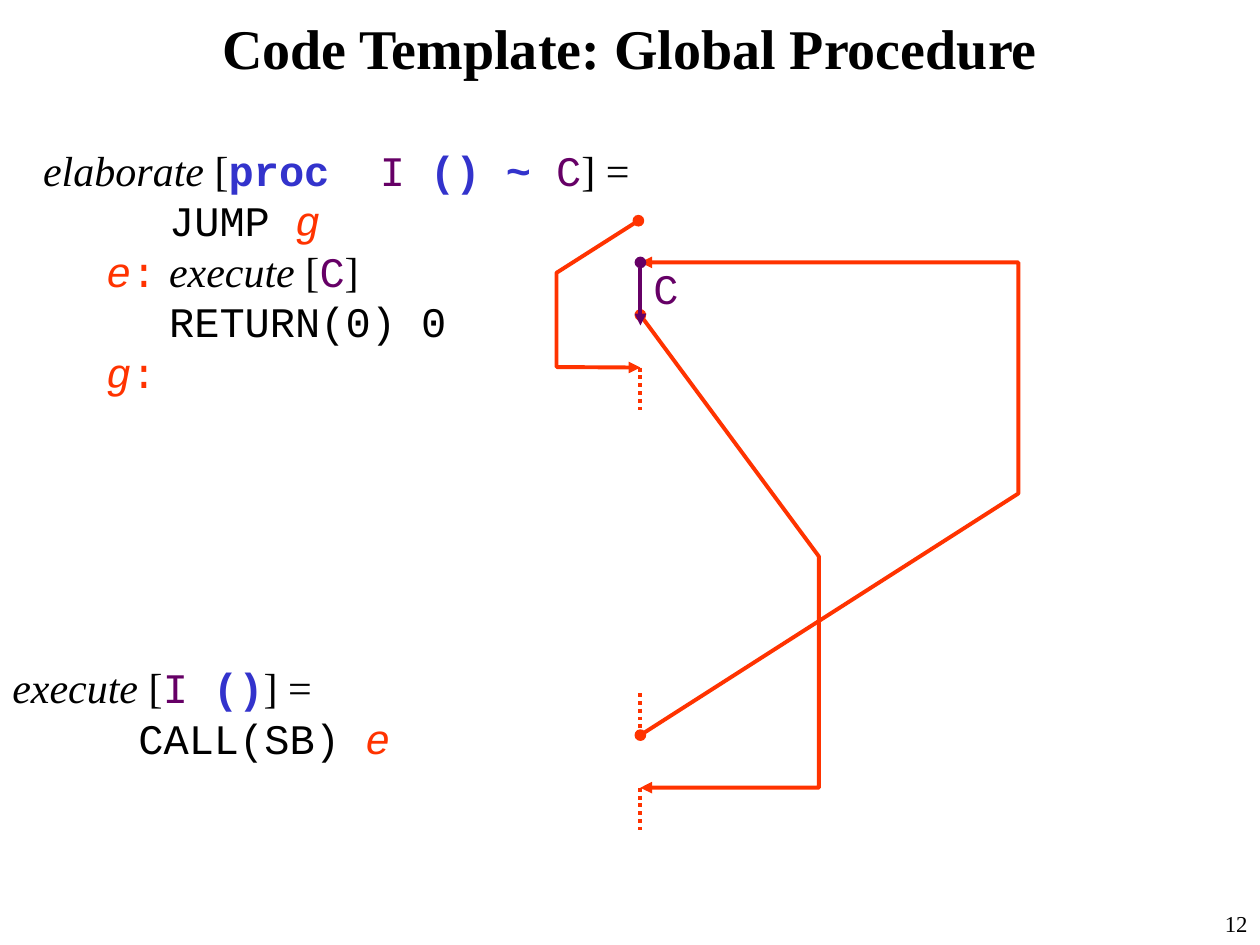
from lxml import etree
from pptx import Presentation
from pptx import util as u
from pptx.dml.color import RGBColor
from pptx.enum import dml, shapes, text
from pptx.oxml.ns import qn

HUE = {"ink": "000000", "key": "3333CC", "name": "660066", "jump": "FF3300"}
SERIF, MONO = "Times New Roman", "Courier New"
STYLE = {
    "plain": (SERIF, "ink", False, False),
    "func": (SERIF, "ink", False, True),
    "head": (SERIF, "ink", True, False),
    "code": (MONO, "ink", False, False),
    "key": (MONO, "key", True, False),
    "name": (MONO, "name", False, False),
    "mark": (MONO, "jump", False, False),
    "label": (MONO, "jump", False, True),
}

TITLE = [(0, [("Code Template: Global Procedure", "head")])]
PROC = [
    (0, [("elaborate", "func"), (" [", "plain"), ("proc  ", "key"), ("I ", "name"),
         ("() ~ ", "key"), ("C", "name"), ("] =", "plain")]),
    (0, [("\t", "plain"), ("JUMP ", "code"), ("g", "label")]),
    (1, [("e", "label"), (":\t", "mark"), ("execute", "func"), (" [", "plain"),
         ("C", "name"), ("]", "plain")]),
    (1, [("\t", "plain"), ("RETURN(0) 0", "code")]),
    (1, [("g", "label"), (":", "mark")]),
]
CALL = [
    (0, [("execute", "func"), (" [", "plain"), ("I ", "name"), ("()", "key"),
         ("] =", "plain")]),
    (1, [("\t", "label"), ("CALL(SB) ", "code"), ("e", "label")]),
]
BODY = [(0, [("C", "name")])]
PAGE = [(0, [("12", "plain")])]

LEFT, RIGHT = text.PP_ALIGN.LEFT, text.PP_ALIGN.RIGHT
BOXES = [
    (PAGE, (23.5, 18.21, 1.9, 0.84), 13, RIGHT, True),
    (PROC, (0.62, 2.79, 12.4, 5.33), 24, LEFT, False),
    (BODY, (12.92, 5.16, 1.02, 1.27), 24, LEFT, False),
    (CALL, (0, 13.22, 9.4, 2.29), 24, LEFT, False),
]

TAB, INDENT = 2.54, 1.27
AXIS = 12.91
ENTRY, LEAVE, AFTER = 5.29, 6.35, 7.41
CALLER, BACK = 14.82, 15.88
DOT = 0.85
ROUTES = [
    [(12.87, 4.45), (11.22, 5.5), (11.22, 7.4), (AXIS, AFTER)],
    [(AXIS, CALLER), (20.53, 9.95), (20.53, ENTRY), (AXIS, ENTRY)],
    [(AXIS, LEAVE), (16.51, 11.22), (16.51, BACK), (AXIS, BACK)],
]
DOTS = [AFTER, CALLER - DOT, BACK]


def paint(font, vals):
    for key, val in vals.items():
        setattr(font, key, val)


def write(frame, paras, size, align):
    for n, (level, runs) in enumerate(paras):
        para = frame.paragraphs[0] if n == 0 else frame.add_paragraph()
        para.alignment = align
        props = para._p.get_or_add_pPr()
        if level:
            para.level = level
            props.set("marL", str(u.Cm(INDENT)))
            props.set("indent", "0")
        if any("\t" in words for words, _ in runs):
            tabs = etree.SubElement(props, qn("a:tabLst"))
            stop = u.Cm(TAB + INDENT * level)
            etree.SubElement(tabs, qn("a:tab"), pos=str(stop), algn="l")
        for words, style in runs:
            run = para.add_run()
            run.text = words
            name, hue, bold, slant = STYLE[style]
            paint(run.font, {"name": name, "size": u.Pt(size), "bold": bold, "italic": slant})
            run.font.color.rgb = RGBColor.from_string(HUE[hue])


def stroke(shape, hue, heads=True):
    shape.line.color.rgb = RGBColor.from_string(HUE[hue])
    shape.line.width = u.Pt(2.25)
    if heads:
        line = shape.line._get_or_add_ln()
        for tag, kind in (("a:headEnd", "oval"), ("a:tailEnd", "triangle")):
            etree.SubElement(line, qn(tag), type=kind)
    else:
        shape.line.dash_style = dml.MSO_LINE.ROUND_DOT


def drop(tree, top, low, hue, heads):
    x = u.Cm(AXIS)
    line = tree.add_connector(shapes.MSO_CONNECTOR.STRAIGHT, x, u.Cm(top), x, u.Cm(low))
    stroke(line, hue, heads)
    etree.SubElement(line._element.spPr, qn("a:effectLst"))


def main():
    deck = Presentation()
    deck.slide_width, deck.slide_height = u.Cm(25.4), u.Cm(19.05)
    slide = deck.slides.add_slide(deck.slide_layouts[5])
    tree = slide.shapes

    title = tree.title
    place = {"left": 0, "top": 0, "width": deck.slide_width, "height": u.Cm(1.9)}
    paint(title, place)
    title.text_frame.vertical_anchor = text.MSO_ANCHOR.MIDDLE
    write(title.text_frame, TITLE, 32, text.PP_ALIGN.CENTER)

    for paras, spot, size, align, wrap in BOXES:
        frame = tree.add_textbox(*map(u.Cm, spot)).text_frame
        frame.word_wrap = wrap
        if not wrap:
            frame.auto_size = text.MSO_AUTO_SIZE.SHAPE_TO_FIT_TEXT
        write(frame, paras, size, align)

    for route in ROUTES:
        first, *rest = [(u.Cm(x), u.Cm(y)) for x, y in route]
        pen = tree.build_freeform(*first)
        pen.add_line_segments(rest, close=False)
        shape = pen.convert_to_shape()
        shape.fill.background()
        shape.shadow.inherit = False
        stroke(shape, "jump")

    for top in DOTS:
        drop(tree, top, top + DOT, "jump", False)
    drop(tree, ENTRY, ENTRY + 1.27, "name", True)

    deck.save("out.pptx")


if __name__ == "__main__":
    main()
